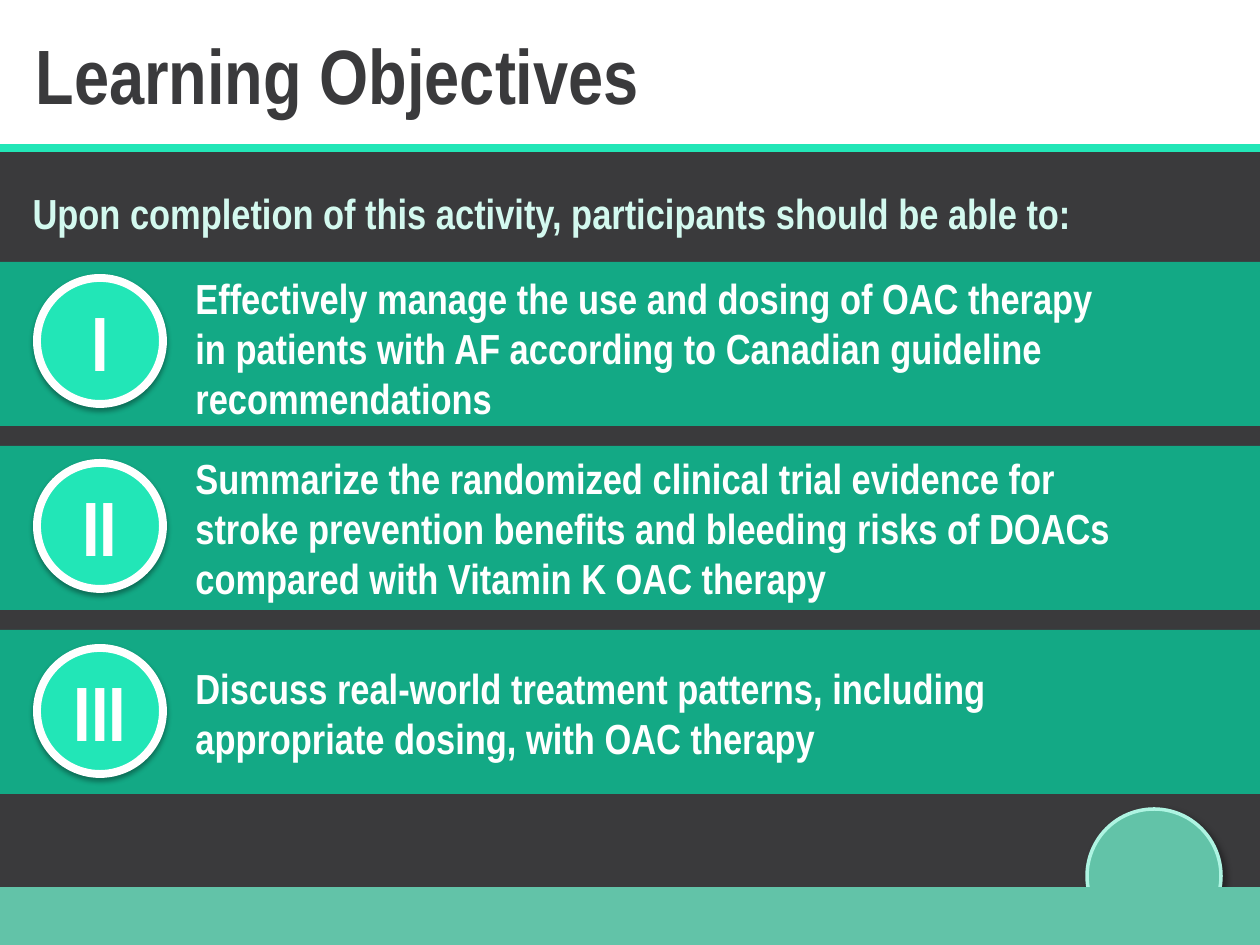
"""Build the Learning Objectives slide with three numbered bands."""
from lxml import etree
from pptx import Presentation
from pptx.dml.color import RGBColor
from pptx.enum.shapes import MSO_CONNECTOR, MSO_SHAPE as SHP
from pptx.enum.text import MSO_ANCHOR as ANC, MSO_AUTO_SIZE as FIT, PP_ALIGN as AL
from pptx.oxml import parse_xml
from pptx.oxml.ns import nsdecls, qn
from pptx.util import Emu, Pt

PX = 914400 / 126
DARK, MINT, GREEN, SAGE, WHITE = "3A3A3C", "22E6B7", "13A985", "62C3A8", "FFFFFF"
rgb = RGBColor.from_string


def add_shape(kind, box, fill, line=None, shadow=None):
    sp = s.shapes.add_shape(kind, *[Emu(round(v * PX)) for v in box])
    sp.shadow.inherit = False
    sp.fill.solid()
    sp.fill.fore_color.rgb = rgb(fill)
    if line:
        sp.line.color.rgb = rgb(line[0])
        sp.line.width = Pt(line[1])
    else:
        sp.line.fill.background()
    if shadow:
        alpha, blur, dist, angle = shadow
        sp._element.spPr.find(qn("a:effectLst")).append(parse_xml(
            f'<a:outerShdw {nsdecls("a")} blurRad="{Pt(blur)}" dist="{Pt(dist)}" '
            f'dir="{angle * 60000}" algn="ctr" rotWithShape="0"><a:srgbClr val="000000">'
            f'<a:alpha val="{alpha * 1000}"/></a:srgbClr></a:outerShdw>'))
    return sp


def write(sp, text, size, color, anchor=ANC.TOP, align=AL.LEFT, box=None):
    if box:
        for name, v in zip(("left", "top", "width", "height"), box):
            setattr(sp, name, Emu(round(v * PX)))
    tf = sp.text_frame
    for name, v in {"word_wrap": True, "auto_size": FIT.NONE, "vertical_anchor": anchor}.items():
        setattr(tf, name, v)
    p = tf.paragraphs[0]
    p.alignment = align
    p.space_before = Pt(0)
    r = p.add_run()
    r.text = text
    for name, v in {"name": "Arial Narrow", "size": Pt(size), "bold": True}.items():
        setattr(r.font, name, v)
    r.font.color.rgb = rgb(color)
    return p


prs = Presentation()
prs.slide_width, prs.slide_height = Emu(round(1260 * PX)), Emu(round(945 * PX))
s = prs.slides.add_slide(prs.slide_layouts[1])

panel = add_shape(SHP.RECTANGLE, (0, 148, 1260, 739), DARK)
s.shapes._spTree.insert(2, panel._element)
rule = s.shapes.add_connector(MSO_CONNECTOR.STRAIGHT, 0, Emu(round(148 * PX)),
                              prs.slide_width, Emu(round(148 * PX)))
rule.line.color.rgb = rgb(MINT)
rule.line.width = Pt(4.5)
etree.SubElement(rule._element.spPr, qn("a:effectLst"))

write(s.shapes.title, "Learning Objectives", 44, DARK, box=(23, 21, 1111, 106))
p = write(s.placeholders[1], "Upon completion of this activity, participants should be able to:",
          24, "D3F9EF", box=(20, 181, 1196, 76))
pPr = p._p.get_or_add_pPr()
pPr.set("marL", "0")
pPr.set("indent", "0")
etree.SubElement(pPr, qn("a:buNone"))

add_shape(SHP.FLOWCHART_CONNECTOR, (1087, 809, 134, 134), SAGE, ("AEF4E2", 2), (40, 4, 3, 45))
add_shape(SHP.RECTANGLE, (0, 887, 1260, 59), SAGE)

objectives = [
    ("I", (183, 266, 929, 165), "Effectively manage the use and dosing of OAC therapy in patients "
     "with AF according to Canadian guideline recommendations"),
    ("II", (183, 446, 997, 165), "Summarize the randomized clinical trial evidence for stroke "
     "prevention benefits and bleeding risks of DOACs compared with Vitamin K OAC therapy"),
    ("III", (183, 656, 964, 115), "Discuss real-world treatment patterns, including appropriate "
     "dosing, with OAC therapy"),
]
for i, (numeral, box, text) in enumerate(objectives):
    add_shape(SHP.RECTANGLE, (0, 262 + 184 * i, 1260, 164), GREEN)
    badge = add_shape(SHP.FLOWCHART_CONNECTOR, (37, 278 + 185 * i, 126, 126), MINT,
                      (WHITE, 4.5), (35, 3.1, 1.8, 90))
    write(badge, numeral, 44, WHITE, ANC.MIDDLE, AL.CENTER)
    write(s.shapes.add_textbox(0, 0, 0, 0), text, 24, WHITE, box=box)

prs.save("out.pptx")
